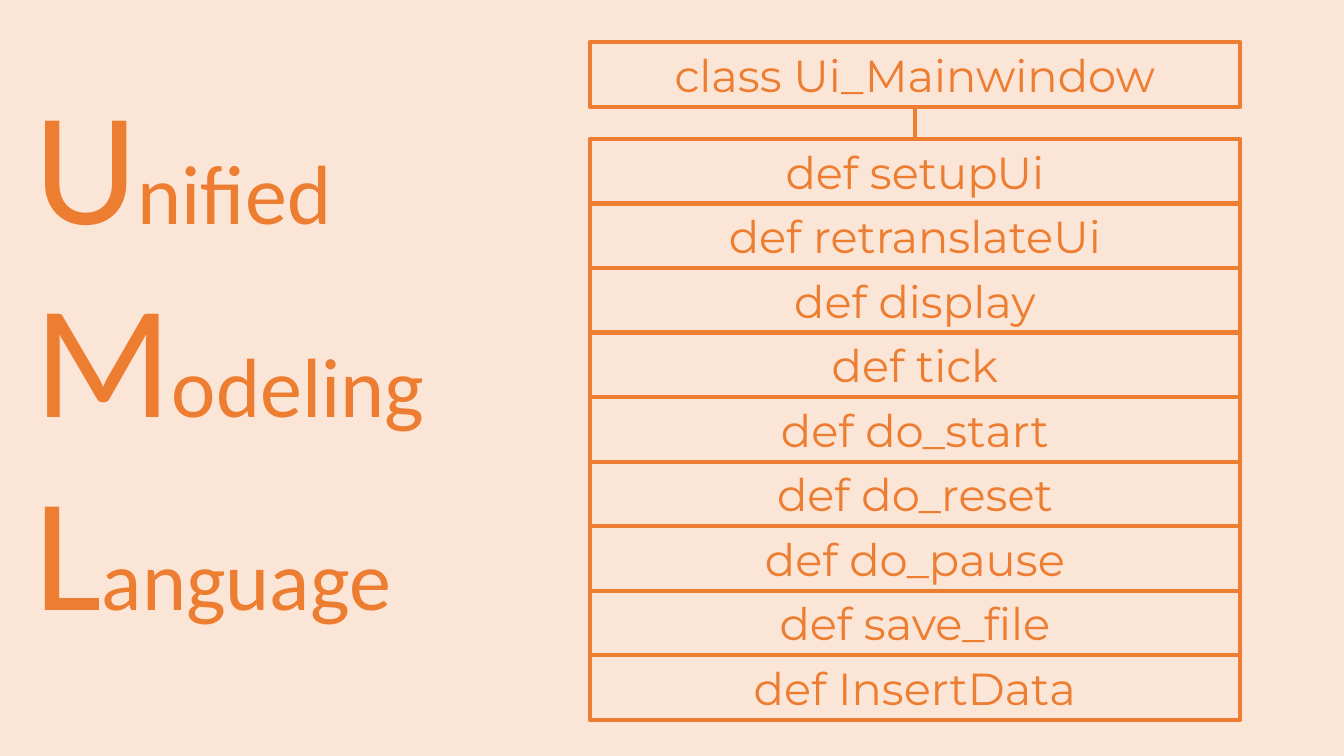
import pptx
import pptx.util
import pptx.dml.color
import pptx.enum.shapes
import pptx.enum.text
import pptx.oxml

PX = 9144  # 100 px to the inch
ORANGE = pptx.dml.color.RGBColor(0xED, 0x7D, 0x31)
PEACH = pptx.dml.color.RGBColor(0xFB, 0xE5, 0xD6)
LEFT, WIDTH, HIGH = 585, 645, 64
HEAD_TOP, LIST_TOP = 42, 138
WORDS = ["Unified", "Modeling", "Language"]
DEFS = ["setupUi", "retranslateUi", "display", "tick", "do_start",
        "do_reset", "do_pause", "save_file", "InsertData"]


def style(run, face, size):
    run.font.name = face
    run.font.size = pptx.util.Pt(size)
    run.font.color.rgb = ORANGE


def add_box(text, top):
    box = slide.shapes.add_shape(
        pptx.enum.shapes.MSO_SHAPE.RECTANGLE,
        LEFT * PX, top * PX, WIDTH * PX, HIGH * PX)
    box.shadow.inherit = False
    box.fill.background()
    box.line.color.rgb = ORANGE
    box.line.width = pptx.util.Pt(3)
    frame = box.text_frame
    frame.word_wrap = True
    frame.text = text
    frame.paragraphs[0].alignment = pptx.enum.text.PP_ALIGN.CENTER
    style(frame.paragraphs[0].runs[0], "Montserrat", 32)
    return box


# Slide and background
deck = pptx.Presentation()
deck.slide_width, deck.slide_height = 1333 * PX, 750 * PX
slide = deck.slides.add_slide(deck.slide_layouts[5])
slide.background.fill.solid()
slide.background.fill.fore_color.rgb = PEACH

# Title with large initials
title = slide.shapes.title
title.left, title.top = 24 * PX, 58 * PX
title.width, title.height = 536 * PX, 591 * PX
frame = title.text_frame
frame.word_wrap = True
frame.auto_size = pptx.enum.text.MSO_AUTO_SIZE.NONE
frame.vertical_anchor = pptx.enum.text.MSO_ANCHOR.TOP
frame.text = "\n".join(WORDS)
for para, word in zip(frame.paragraphs, WORDS):
    para.alignment = pptx.enum.text.PP_ALIGN.LEFT
    para.runs[0].text = word[0]
    para.add_run().text = word[1:]
    for run, size in zip(para.runs, (115, 60)):
        style(run, "Calibri", size)

# Class box and its methods
head = add_box("class Ui_Mainwindow", HEAD_TOP)
rows = [add_box(f"def {name}", LIST_TOP + i * HIGH)
        for i, name in enumerate(DEFS)]

# Line from class to methods
link = slide.shapes.add_connector(
    pptx.enum.shapes.MSO_CONNECTOR.STRAIGHT, 0, 0, 0, 0)
link.begin_connect(head, 2)
link.end_connect(rows[0], 0)
link.line.color.rgb = ORANGE
link.line.width = pptx.util.Pt(3)
link._element.spPr.append(pptx.oxml.parse_xml(
    '<a:effectLst xmlns:a='
    '"http://schemas.openxmlformats.org/drawingml/2006/main"/>'))

deck.save("out.pptx")
